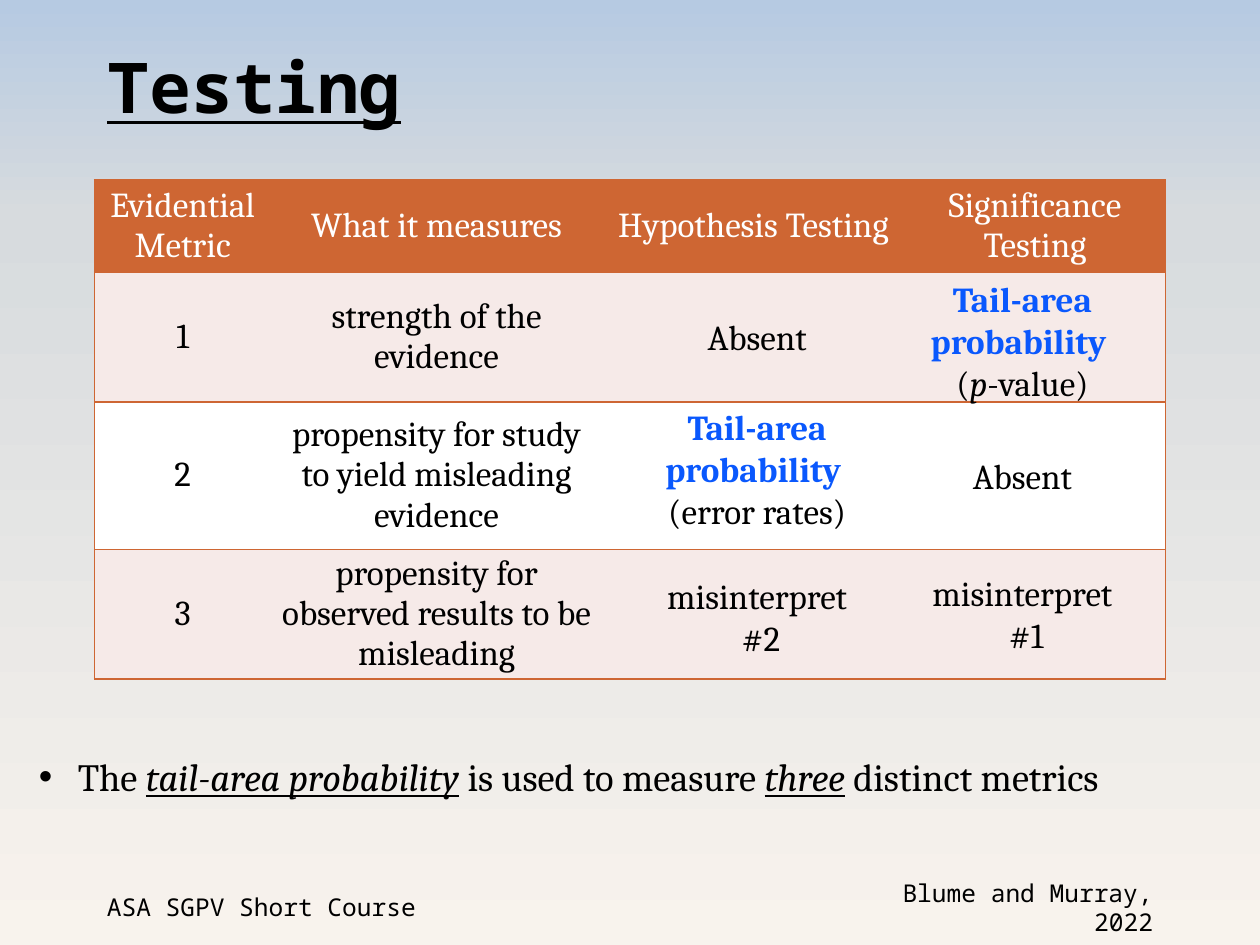
import pptx
import pptx.dml.color
import pptx.enum.text
import pptx.oxml.ns
import pptx.util
from lxml import etree

Inches, Pt = pptx.util.Inches, pptx.util.Pt
qn = pptx.oxml.ns.qn
ALIGN = pptx.enum.text.PP_ALIGN
ANCHOR = pptx.enum.text.MSO_ANCHOR

WIDTH, HEIGHT = 10, 7.5
ORANGE, PINK, WHITE, BLACK, BLUE = "CE6633", "F6EAE8", "FFFFFF", "000000", "0A58FD"
SKY = [(0, "F8F3ED"), (77, "D7DBDE"), (100, "B6CAE2")]

SERIF = {"name": "Cambria", "size": Pt(20)}
MONO = {"name": "Noto Sans Mono", "size": Pt(14)}
HEADING = {"name": "Noto Sans Mono", "size": Pt(40), "bold": True, "underline": True}
STRESS = {"italic": True, "underline": True}
KEY = {"bold": True, "color": BLUE}

COLUMNS = [1.4, 2.63, 2.4, 2.07]
ROWS = [0.73, 1.03, 1.17, 1.03]
HEADERS = [["Evidential", "Metric"], ["What it measures"],
           ["Hypothesis Testing"], ["Significance Testing"]]
MEASURES = ["strength of the evidence",
            "propensity for study to yield misleading evidence",
            "propensity for observed results to be misleading"]
NO_STYLE = "{2D5ABB26-0587-4C30-8999-92F81FD0307C}"

TAIL_AREA = [("Tail-area probability ", KEY)]
# row, column, shift from the cell's centre, size, paragraphs
VERDICTS = [
    (1, 2, (0.03, 0), (1.07, 0.44), ["Absent"]),
    (2, 2, (0.03, -0.05), (1.96, 1.11), [TAIL_AREA, "(error rates)"]),
    (3, 2, (0.03, 0.02), (2.46, 0.77), ["misinterpret", " #2"]),
    (2, 3, (-0.1, 0), (1.07, 0.44), ["Absent"]),
    (1, 3, (-0.1, 0.03), (1.68, 1.11),
     [TAIL_AREA, [("(", {}), ("p", {"italic": True}), ("-value)", {})]]),
    (3, 3, (-0.1, 0), (2.46, 0.77), ["misinterpret", " #1"]),
]


def rgb(value):
    return pptx.dml.color.RGBColor.from_string(value)


def write(frame, paragraphs, font, color=BLACK, **paragraph_format):
    """Fill a frame; a paragraph is a string or a list of (text, font changes)."""
    for index, content in enumerate(paragraphs):
        paragraph = frame.add_paragraph() if index else frame.paragraphs[0]
        for name, value in paragraph_format.items():
            setattr(paragraph, name, value)
        for text, changes in [(content, {})] if isinstance(content, str) else content:
            run = paragraph.add_run()
            run.text = text
            look = {"color": color, **font, **changes}
            run.font.color.rgb = rgb(look.pop("color"))
            for name, value in look.items():
                setattr(run.font, name, value)


def place(shape, box):
    for name, value in zip(("left", "top", "width", "height"), box):
        setattr(shape, name, Inches(value))


def add_text(slide, box, paragraphs, font, anchor=ANCHOR.TOP, **paragraph_format):
    frame = slide.shapes.add_textbox(*map(Inches, box)).text_frame
    frame.word_wrap = True
    frame.vertical_anchor = anchor
    write(frame, paragraphs, font, **paragraph_format)
    return frame


def paint_background(slide):
    fill = slide.background.fill
    fill.gradient()
    fill.gradient_angle = 90
    stops = next(slide.element.iter(qn("a:gsLst")))
    for stop in list(stops):
        stops.remove(stop)
    for percent, color in SKY:
        stop = etree.SubElement(stops, qn("a:gs"), pos=str(percent * 1000))
        etree.SubElement(stop, qn("a:srgbClr"), val=color)


def add_title(slide, box):
    title = slide.shapes.title
    place(title, box)
    title.text_frame.vertical_anchor = ANCHOR.MIDDLE
    write(title.text_frame, ["Testing"], HEADING, alignment=ALIGN.LEFT, line_spacing=0.9)


def set_borders(cell, sides):
    properties = cell._tc.get_or_add_tcPr()
    for position, side in enumerate(sides):
        line = etree.Element(qn("a:ln" + side), w=str(Pt(1)))
        fill = etree.SubElement(line, qn("a:solidFill"))
        etree.SubElement(fill, qn("a:srgbClr"), val=ORANGE)
        properties.insert(position, line)


def add_metrics_table(slide, box):
    """Table of the metrics, with the verdicts laid over its last two columns."""
    left, top = box[:2]
    frame = slide.shapes.add_table(len(ROWS), len(COLUMNS), *map(Inches, box))
    table = frame.table
    table.horz_banding = False
    next(frame._element.iter(qn("a:tableStyleId"))).text = NO_STYLE
    for column, width in zip(table.columns, COLUMNS):
        column.width = Inches(width)
    for row, height in zip(table.rows, ROWS):
        row.height = Inches(height)

    body = [[[str(number)], [measure], [], []] for number, measure in enumerate(MEASURES, 1)]
    cell_format = {"margin_left": Inches(0.07), "margin_right": Inches(0.07),
                   "margin_top": 0, "margin_bottom": 0, "vertical_anchor": ANCHOR.MIDDLE}
    for r, contents in enumerate([HEADERS] + body):
        for c, paragraphs in enumerate(contents):
            cell = table.cell(r, c)
            for name, value in cell_format.items():
                setattr(cell, name, value)
            cell.fill.solid()
            cell.fill.fore_color.rgb = rgb(ORANGE if r == 0 else PINK if r % 2 else WHITE)
            write(cell.text_frame, paragraphs, SERIF, WHITE if r == 0 else BLACK,
                  alignment=ALIGN.CENTER)
            first, last = c == 0, c == len(COLUMNS) - 1
            set_borders(cell, ["L"] * first + ["R"] * last + ["T", "B"])

    for r, c, (dx, dy), (width, height), paragraphs in VERDICTS:
        center_x = left + sum(COLUMNS[:c]) + COLUMNS[c] / 2 + dx
        center_y = top + sum(ROWS[:r]) + ROWS[r] / 2 + dy
        add_text(slide, (center_x - width / 2, center_y - height / 2, width, height),
                 paragraphs, SERIF, alignment=ALIGN.CENTER)


def add_conclusion(slide, box):
    sentence = [("The ", {}), ("tail-area probability", STRESS), (" is used to measure ", {}),
                ("three", STRESS), (" distinct metrics", {})]
    frame = add_text(slide, box, [sentence], {**SERIF, "size": Pt(22)})
    properties = frame.paragraphs[0]._p.get_or_add_pPr()
    properties.set("marL", str(Inches(0.31)))
    properties.set("indent", str(-Inches(0.31)))
    etree.SubElement(properties, qn("a:buFont"), typeface="Arial")
    etree.SubElement(properties, qn("a:buChar"), char="•")


def add_footer(slide, box):
    left, top, width, height = box
    credit_width = 0.3 * width
    add_text(slide, (left + width - credit_width, top, credit_width, height),
             ["Blume and Murray, 2022"], MONO, ANCHOR.MIDDLE, alignment=ALIGN.RIGHT)
    add_text(slide, (left, top, 0.63 * width, height),
             ["ASA SGPV Short Course"], MONO, ANCHOR.MIDDLE)


def main():
    deck = pptx.Presentation()
    deck.slide_width, deck.slide_height = Inches(WIDTH), Inches(HEIGHT)
    slide = deck.slides.add_slide(deck.slide_layouts[5])
    margin = 0.075 * WIDTH
    content_width = WIDTH - 2 * margin
    paint_background(slide)
    add_title(slide, (margin, 0.25, content_width, 0.95))
    add_metrics_table(slide, (margin, 1.43, content_width, sum(ROWS)))
    add_conclusion(slide, (0.21, 5.93, 9.63, 0.47))
    add_footer(slide, (margin, 7, content_width, 0.4))
    deck.save("out.pptx")


if __name__ == "__main__":
    main()
